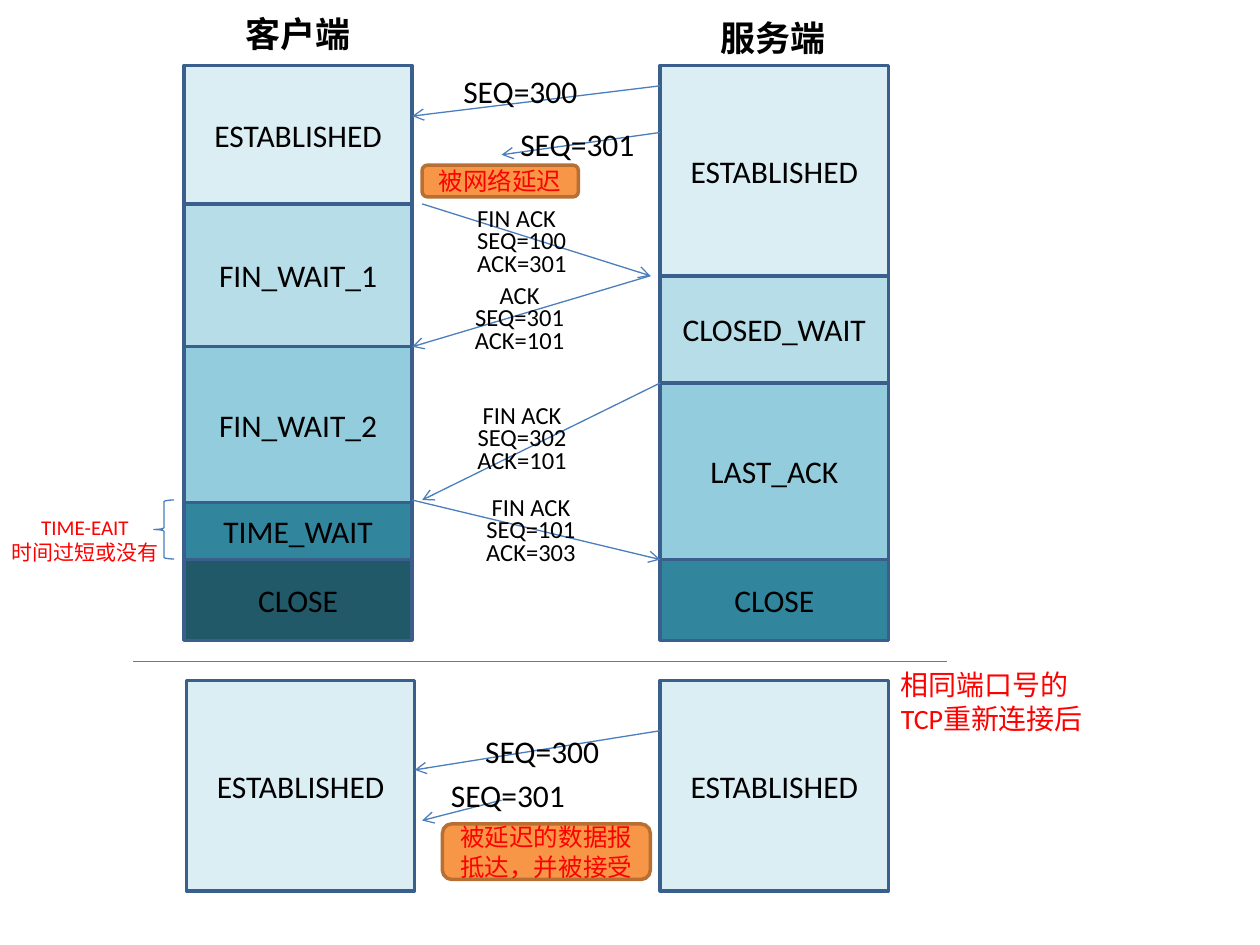
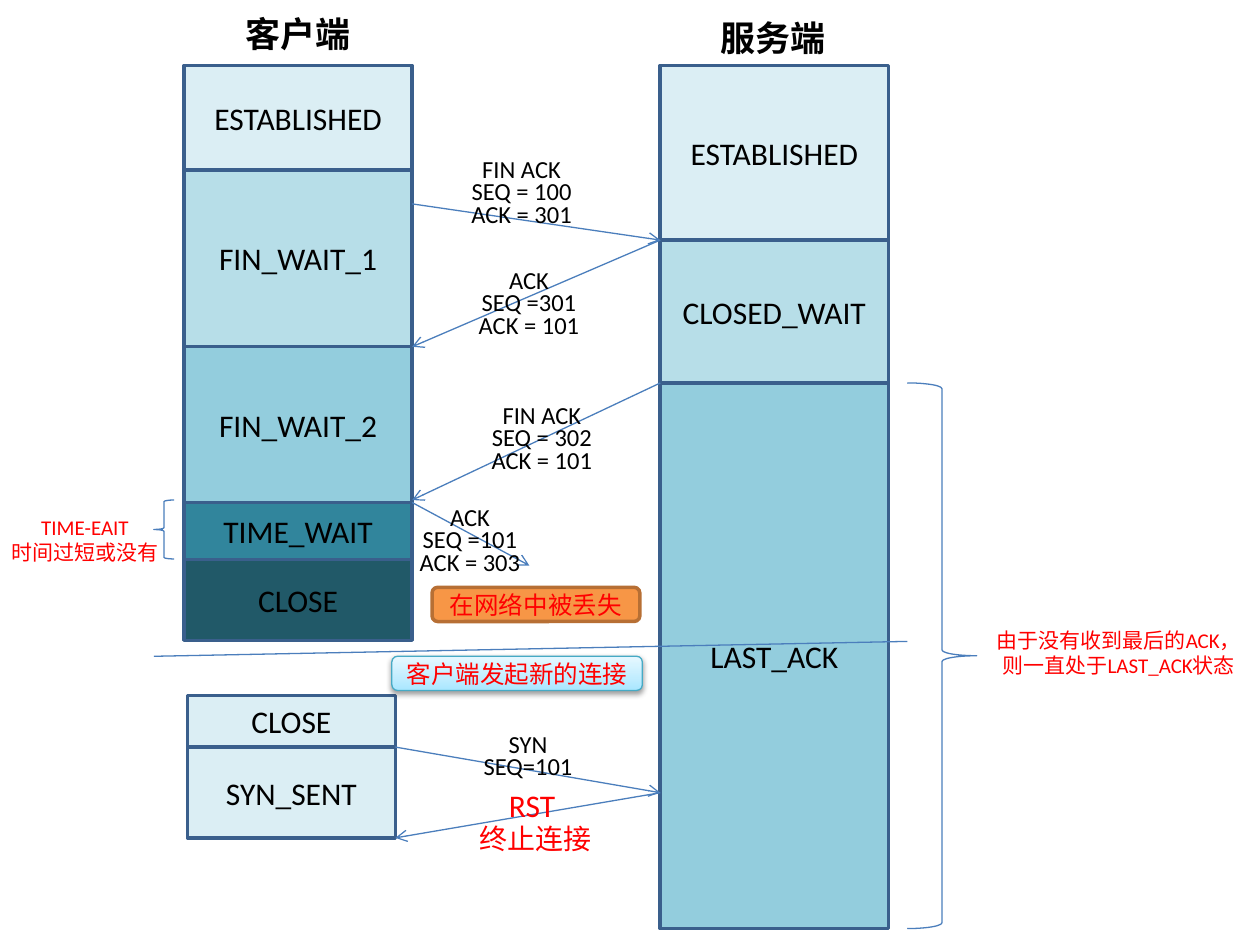
import copy

import lxml.etree
import pptx
import pptx.dml.color
import pptx.enum.shapes
import pptx.enum.text
import pptx.oxml.ns
import pptx.util

Cm = pptx.util.Cm
Pt = pptx.util.Pt
RGB = pptx.dml.color.RGBColor
SHAPE = pptx.enum.shapes.MSO_SHAPE
ALIGN = pptx.enum.text.PP_ALIGN
ANCHOR = pptx.enum.text.MSO_ANCHOR
qn = pptx.oxml.ns.qn

BLACK, RED = RGB(0, 0, 0), RGB(255, 0, 0)
PALE, LIGHT, MID, TEAL, DEEP = [
    RGB.from_string(c) for c in ("DBEEF4", "B7DEE8", "93CDDD", "31859C", "215968")]
EDGE, WIRE = RGB(0x3A, 0x5F, 0x8C), RGB(0x4B, 0x7E, 0xBC)
ORANGE, RUST = RGB(0xF7, 0x96, 0x46), RGB(0xB7, 0x6F, 0x34)
AQUA = RGB(0x46, 0xAA, 0xC5)
GLOW = [(0, RGB(0xA7, 0xE6, 0xFF)), (0.35, RGB(0xC1, 0xED, 0xFF)), (1, RGB(0xE7, 0xF8, 0xFF))]

# style: (font values, paragraph values)
CENTER, LEFT = {"alignment": ALIGN.CENTER}, {"alignment": ALIGN.LEFT}
TIGHT = {"line_spacing": Pt(12.8)}
STYLES = {
    "head": ({"size": Pt(20), "bold": True}, CENTER),
    "state": ({"size": Pt(18)}, CENTER),
    "seq": ({"size": Pt(18)}, LEFT),
    "msg": ({"size": Pt(14)}, CENTER | TIGHT),
    "msg left": ({"size": Pt(14)}, LEFT | TIGHT),
    "reset": ({"size": Pt(18), "color": RED}, CENTER | TIGHT),
    "pill": ({"size": Pt(14), "color": RED}, CENTER),
    "small": ({"size": Pt(12), "color": RED}, CENTER),
    "remark": ({"size": Pt(16), "color": RED}, LEFT),
}

# All places are in centimetres.
CLIENT, SERVER, WIDE = 3.71, 13.31, 4.6
NEAR, FAR = CLIENT + WIDE, SERVER

# notes: (style, left, top, width, height, lines)
SHARED = {
    "notes": [
        ("head", CLIENT, 0.13, WIDE, 1.12, ["客户端"]),
        ("head", 13.28, 0.2, WIDE, 1.12, ["服务端"]),
        ("small", -0.15, 10.24, 3.73, 1.27, ["TIME-EAIT", "时间过短或没有"]),
    ],
    "braces": [(SHAPE.LEFT_BRACE, 3.1, 10.08, 0.41, 1.19)],
}

# stacks: (left, width, top, [(state, fill, bottom)])
# arrows and rules: (from x, from y, to x, to y)
# pills: (left, top, width, height, text, glowing)
LATE = {
    "stacks": [
        (CLIENT, WIDE, 1.32, [
            ("ESTABLISHED", PALE, 4.11), ("FIN_WAIT_1", LIGHT, 6.99),
            ("FIN_WAIT_2", MID, 10.13), ("TIME_WAIT", TEAL, 11.28),
            ("CLOSE", DEEP, 12.91)]),
        (SERVER, WIDE, 1.32, [
            ("ESTABLISHED", PALE, 5.56), ("CLOSED_WAIT", LIGHT, 7.72),
            ("LAST_ACK", MID, 11.28), ("CLOSE", TEAL, 12.91)]),
        (3.76, WIDE, 13.72, [("ESTABLISHED", PALE, 17.96)]),
        (SERVER, WIDE, 13.72, [("ESTABLISHED", PALE, 17.96)]),
    ],
    "arrows": [
        (FAR, 1.73, NEAR, 2.34), (FAR, 2.67, 10.11, 3.12),
        (8.51, 4.11, 13.11, 5.56), (13.11, 5.56, NEAR, 6.99),
        (FAR, 7.72, 8.51, 10.08), (NEAR, 10.08, FAR, 11.28),
        (FAR, 14.73, 8.36, 15.52), (10.11, 16.13, 8.51, 16.54),
    ],
    "rules": [(2.69, 13.34, 19.1, 13.34)],
    "notes": [
        ("seq", 9.09, 1.32, 2.87, 0.91, ["SEQ=300"]),
        ("seq", 10.24, 2.39, 2.87, 1.02, ["SEQ=301"]),
        ("msg left", 9.37, 4.11, 2.87, 1.65, ["FIN ACK", "SEQ=100", "ACK=301"]),
        ("msg", 9.04, 5.66, 2.87, 1.65, ["ACK", "SEQ=301", "ACK=101"]),
        ("msg", 9.09, 8.08, 2.87, 1.65, ["FIN ACK", "SEQ=302", "ACK=101"]),
        ("msg", 9.27, 9.93, 2.87, 1.65, ["FIN ACK", "SEQ=101", "ACK=303"]),
        ("remark", 17.91, 13.34, 6.4, 1.63, ["相同端口号的", "TCP重新连接后"]),
        ("seq", 9.53, 14.63, 2.87, 0.91, ["SEQ=300"]),
        ("seq", 8.84, 15.52, 2.87, 1.02, ["SEQ=301"]),
    ],
    "braces": [],
    "pills": [
        (8.51, 3.33, 3.15, 0.64, "被网络延迟", False),
        (8.92, 16.61, 4.19, 1.12, "被延迟的数据报抵达，并被接受", False),
    ],
}
LOST = {
    "stacks": [
        (CLIENT, WIDE, 1.32, [
            ("ESTABLISHED", PALE, 3.43), ("FIN_WAIT_1", LIGHT, 6.99),
            ("FIN_WAIT_2", MID, 10.13), ("TIME_WAIT", TEAL, 11.28),
            ("CLOSE", DEEP, 12.91)]),
        (SERVER, WIDE, 1.32, [
            ("ESTABLISHED", PALE, 4.84), ("CLOSED_WAIT", LIGHT, 7.72),
            ("LAST_ACK", MID, 18.72)]),
        (3.78, 4.19, 14.02, [("CLOSE", PALE, 15.06), ("SYN_SENT", PALE, 16.89)]),
    ],
    "arrows": [
        (NEAR, 4.11, FAR, 4.84), (FAR, 4.84, NEAR, 6.99),
        (FAR, 7.72, NEAR, 10.08), (NEAR, 10.13, 10.67, 11.4),
        (7.97, 15.06, FAR, 15.98), (FAR, 15.98, 7.97, 16.89),
    ],
    "rules": [(3.1, 13.23, 18.29, 12.93)],
    "notes": [
        ("msg", 8.71, 3.12, 3.61, 1.65, ["FIN ACK", "SEQ = 100", "ACK = 301"]),
        ("msg", 8.86, 5.36, 3.61, 1.65, ["ACK", "SEQ =301", "ACK = 101"]),
        ("msg", 9.12, 8.08, 3.61, 1.65, ["FIN ACK", "SEQ = 302", "ACK = 101"]),
        ("msg", 7.67, 10.13, 3.61, 1.65, ["ACK", "SEQ =101", "ACK = 303"]),
        ("small", 19.71, 12.52, 5.69, 1.27,
         ["由于没有收到最后的ACK，则一直处于LAST_ACK状态"]),
        ("msg", 8.84, 14.71, 3.61, 1.19, ["SYN", "SEQ=101"]),
        ("reset", 8.92, 16.03, 3.61, 0.76, ["RST"]),
        ("remark", 9.42, 16.43, 3.25, 0.94, ["终止连接"]),
    ],
    "braces": [(SHAPE.RIGHT_BRACE, 18.29, 7.72, 1.4, 11)],
    "pills": [
        (8.71, 11.84, 4.19, 0.69, "在网络中被丢失", False),
        (7.9, 13.23, 5.05, 0.69, "客户端发起新的连接", True),
    ],
}


def dress(part, values):
    for name, value in values.items():
        setattr(part, name, value)


def write(shape, lines, style, **frame):
    font, para = STYLES[style]
    text = shape.text_frame
    dress(text, {"word_wrap": True} | frame)
    for i, line in enumerate(lines):
        item = text.add_paragraph() if i else text.paragraphs[0]
        dress(item, para)
        run = item.add_run()
        run.text = line
        dress(run.font, {"name": "Calibri", "size": font["size"], "bold": font.get("bold", False)})
        run.font.color.rgb = font.get("color", BLACK)


def ink(line, color, width):
    line.color.rgb = color
    line.width = Pt(width)


def add(slide, kind, place, fill, color, width):
    shape = slide.shapes.add_shape(kind, *map(Cm, place))
    shape.shadow.inherit = False
    if fill is None:
        shape.fill.background()
    else:
        shape.fill.solid()
        shape.fill.fore_color.rgb = fill
    ink(shape.line, color, width)
    return shape


def stack(slide, left, width, top, states):
    for label, fill, low in states:
        box = add(slide, SHAPE.RECTANGLE, (left, top, width, low - top), fill, EDGE, 2)
        write(box, [label], "state", vertical_anchor=ANCHOR.MIDDLE)
        top = low


def wire(slide, ends, arrow):
    line = slide.shapes.add_connector(
        pptx.enum.shapes.MSO_CONNECTOR.STRAIGHT, *map(Cm, ends))
    ink(line.line, WIRE, 0.75)
    props = line._element.spPr
    if arrow:
        lxml.etree.SubElement(props.find(qn("a:ln")), qn("a:tailEnd"), type="arrow")
    lxml.etree.SubElement(props, qn("a:effectLst"))


def glow(shape):
    """Give the shape a three-stop gradient and a soft shadow below."""
    shape.fill.gradient()
    shape.fill.gradient_angle = 90
    props = shape._element.spPr
    stops = props.find(qn("a:gradFill")).find(qn("a:gsLst"))
    stops.append(copy.deepcopy(stops[0]))
    for stop, (place, color) in zip(shape.fill.gradient_stops, GLOW):
        stop.position = place
        stop.color.rgb = color
    shade = lxml.etree.SubElement(
        props.find(qn("a:effectLst")), qn("a:outerShdw"),
        blurRad="40000", dist="20000", dir="5400000", rotWithShape="0")
    tint = lxml.etree.SubElement(shade, qn("a:srgbClr"), val="000000")
    lxml.etree.SubElement(tint, qn("a:alpha"), val="38000")


def pill(slide, left, top, width, height, label, lit):
    color, weight = (AQUA, 0.75) if lit else (RUST, 2)
    shape = add(slide, SHAPE.ROUNDED_RECTANGLE, (left, top, width, height),
                ORANGE, color, weight)
    if lit:
        glow(shape)
    write(shape, [label], "pill", vertical_anchor=ANCHOR.MIDDLE,
          margin_left=Cm(0.2), margin_right=Cm(0.2))


def draw(slide, scene):
    for group in scene["stacks"]:
        stack(slide, *group)
    for ends in scene["arrows"]:
        wire(slide, ends, True)
    for ends in scene["rules"]:
        wire(slide, ends, False)
    for kind, *place in SHARED["braces"] + scene["braces"]:
        add(slide, kind, place, None, WIRE, 0.75)
    for style, *place, lines in SHARED["notes"] + scene["notes"]:
        write(slide.shapes.add_textbox(*map(Cm, place)), lines, style)
    for item in scene["pills"]:
        pill(slide, *item)


def main():
    deck = pptx.Presentation()
    dress(deck, {"slide_width": Cm(25.4), "slide_height": Cm(19.05)})
    for scene in (LATE, LOST):
        draw(deck.slides.add_slide(deck.slide_layouts[6]), scene)
    deck.save("out.pptx")


if __name__ == "__main__":
    main()
